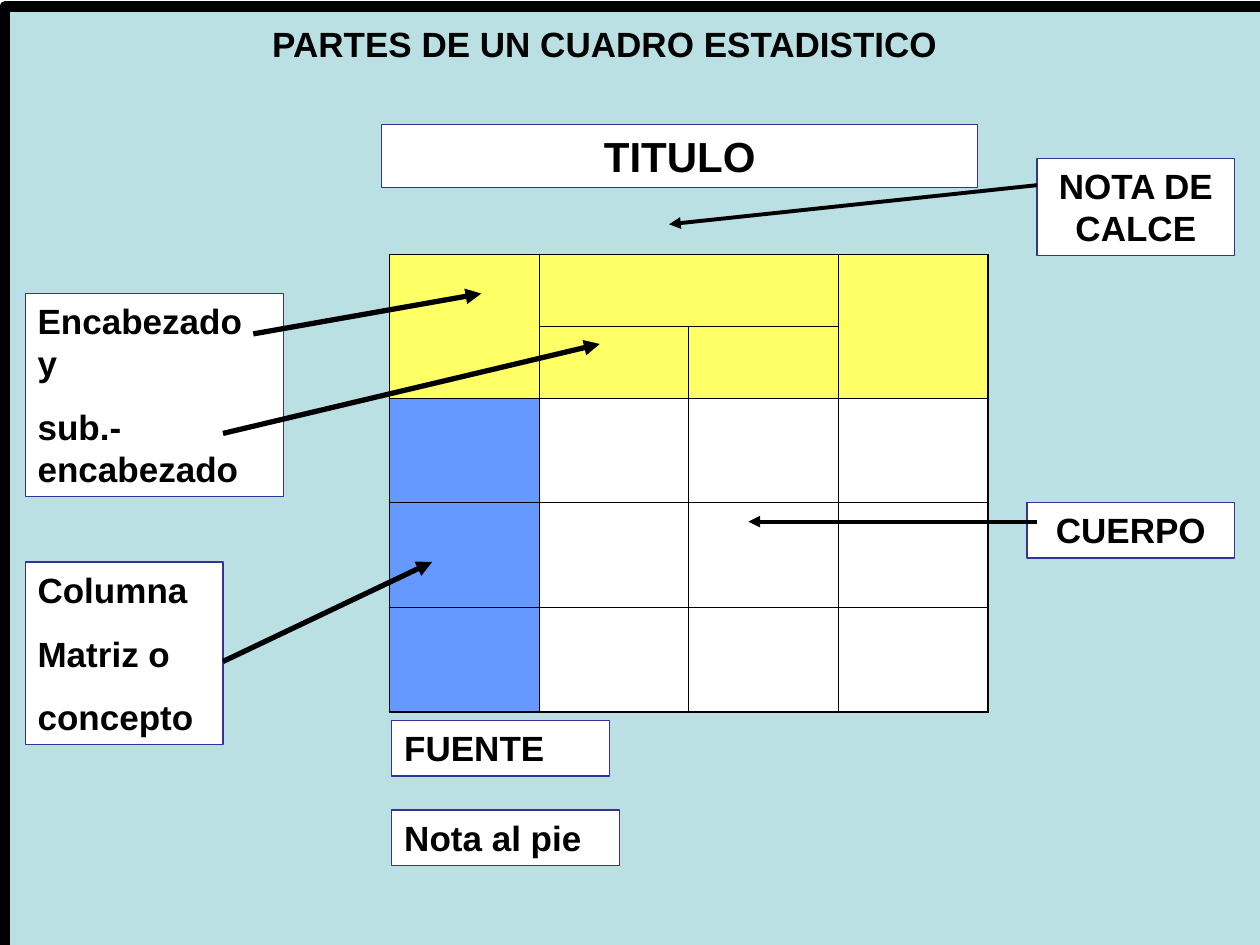
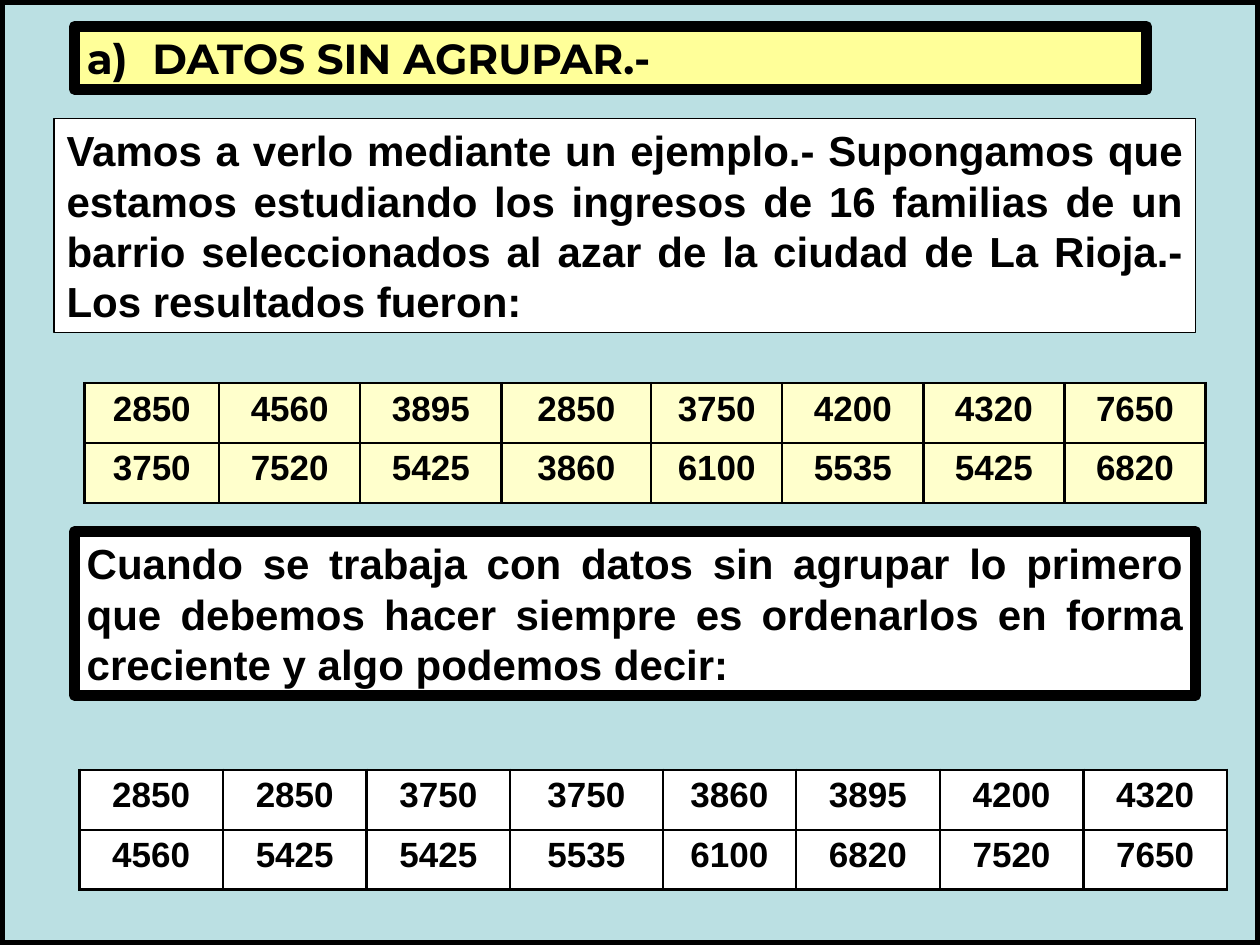
from lxml.etree import SubElement
from pptx import Presentation
from pptx.dml.color import RGBColor
from pptx.enum.shapes import MSO_CONNECTOR, MSO_SHAPE
from pptx.enum.text import MSO_ANCHOR, PP_ALIGN
from pptx.oxml.ns import qn
from pptx.util import Inches, Pt

BLACK = RGBColor(0x00, 0x00, 0x00)
WHITE = RGBColor(0xFF, 0xFF, 0xFF)
SKY = RGBColor(0xBB, 0xE0, 0xE3)
NAVY = RGBColor(0x33, 0x33, 0x99)
BLUE = RGBColor(0x66, 0x99, 0xFF)
YELLOW = RGBColor(0xFF, 0xFF, 0x66)
LEMON = RGBColor(0xFF, 0xFF, 0x99)
CREAM = RGBColor(0xFF, 0xFF, 0xCC)

PAGE = (0, 0, 10, 7.5)
LEFT, CENTER, JUST = PP_ALIGN.LEFT, PP_ALIGN.CENTER, PP_ALIGN.JUSTIFY
FONT = {"name": "Arial", "size": Pt(20), "bold": True}
FRAME = {"word_wrap": True, "vertical_anchor": MSO_ANCHOR.TOP,
         "margin_left": Inches(0.1), "margin_right": Inches(0.1),
         "margin_top": Inches(0.05), "margin_bottom": Inches(0.05)}

INCOME = [2850, 4560, 3895, 2850, 3750, 4200, 4320, 7650,
          3750, 7520, 5425, 3860, 6100, 5535, 5425, 6820]


def put(item, values):
    for name, value in values.items():
        setattr(item, name, value)


def inset(box, left, top, width, height):
    """Return a box whose corner is measured from the corner of another."""
    return box[0] + left, box[1] + top, width, height


def inches(values):
    return [Inches(value) for value in values]


def write(frame, text, align=LEFT, **font):
    put(frame, FRAME)
    for i, line in enumerate(text.split("\n")):
        para = frame.paragraphs[0] if i == 0 else frame.add_paragraph()
        para.alignment = align
        if i:
            para.space_before = Pt(12.5)
        run = para.add_run()
        run.text = line
        put(run.font, {**FONT, **font})
        run.font.color.rgb = BLACK


def panel(slide, box, fill=WHITE, edge=BLACK, width=0.75):
    shape = slide.shapes.add_shape(MSO_SHAPE.RECTANGLE, *inches(box))
    shape.shadow.inherit = False
    shape.fill.solid()
    shape.fill.fore_color.rgb = fill
    shape.line.color.rgb = edge
    shape.line.width = Pt(width)
    return shape


def arrow(slide, box, start, end, width):
    ends = [box[i] + point[i] for point in (start, end) for i in (0, 1)]
    line = slide.shapes.add_connector(MSO_CONNECTOR.STRAIGHT, *inches(ends))
    line.line.color.rgb = BLACK
    line.line.width = Pt(width)
    props = line._element.spPr
    SubElement(props.find(qn("a:ln")), qn("a:tailEnd"), type="triangle")
    SubElement(props, qn("a:effectLst"))


def border(cell, widths):
    """Rule the left, right, top and bottom sides of a cell."""
    props = cell._tc.get_or_add_tcPr()
    for side, width in zip("LRTB", widths):
        line = SubElement(props, qn(f"a:ln{side}"), w=str(Pt(width)))
        fill = SubElement(line, qn("a:solidFill"))
        SubElement(fill, qn("a:srgbClr"), val=str(BLACK))


def grid(slide, box, cols, rows, shade, inner, outer):
    """Add a ruled table; shade(row, col) gives the fill of a cell."""
    frame = slide.shapes.add_table(len(rows), len(cols), *inches(box))
    table = frame.table
    put(table, {"first_row": False, "horz_banding": False})
    for parts, sizes, name in ((table.columns, cols, "width"),
                               (table.rows, rows, "height")):
        for part, size in zip(parts, sizes):
            setattr(part, name, Inches(size))
    for r in range(len(rows)):
        for c in range(len(cols)):
            cell = table.cell(r, c)
            edges = (c == 0, c == len(cols) - 1, r == 0, r == len(rows) - 1)
            border(cell, [outer if edge else inner for edge in edges])
            cell.fill.solid()
            cell.fill.fore_color.rgb = shade(r, c)
    return table


def model(slide, box):
    """Add the empty table with its two-level heading."""
    def shade(row, col):
        return YELLOW if row < 2 else WHITE if col else BLUE

    table = grid(slide, box, [box[2] / 4] * 4, [0.57] * 2 + [0.83] * 3,
                 shade, 0.45, 1.08)
    for first, last in (((0, 0), (1, 0)), ((0, 1), (0, 2)), ((0, 3), (1, 3))):
        table.cell(*first).merge(table.cell(*last))


def series(slide, box, data, cols, fill):
    """Add a table of figures in two rows."""
    table = grid(slide, box, cols, [box[3] / 2] * 2,
                 lambda row, col: fill, 1.47, 1.47)
    for i, value in enumerate(data):
        cell = table.cell(*divmod(i, len(cols)))
        write(cell.text_frame, str(value), CENTER)


def anatomy(slide, box):
    """Show the parts of a statistical table."""
    panel(slide, inset(box, 0.04, 0.05, 10, 7.5), SKY, BLACK, 6)
    model(slide, inset(box, 3.09, 2.02, 4.75, 3.63))
    title = slide.shapes.add_textbox(*inches(inset(box, 0.27, 0.13, 9.06, 0.44)))
    write(title.text_frame, "PARTES DE UN CUADRO ESTADISTICO", CENTER)

    labels = [
        ("TITULO", (3.03, 0.99, 4.73, 0.5), CENTER, 24),
        ("NOTA DE CALCE", (8.23, 1.26, 1.57, 0.77), CENTER, 20),
        ("FUENTE", (3.11, 5.72, 1.73, 0.44), LEFT, 20),
        ("CUERPO", (8.15, 3.99, 1.65, 0.44), CENTER, 20),
        ("Encabezado y\nsub.-encabezado", (0.2, 2.33, 2.05, 1.61), LEFT, 20),
        ("Columna\nMatriz o\nconcepto", (0.2, 4.46, 1.57, 1.45), LEFT, 20),
        ("Nota al pie", (3.11, 6.43, 1.81, 0.44), LEFT, 20),
    ]
    for text, place, align, size in labels:
        label = panel(slide, inset(box, *place), WHITE, NAVY)
        write(label.text_frame, text, align, size=Pt(size))

    arrows = [
        ((8.23, 1.47), (5.31, 1.78), 2.25),
        ((8.23, 4.14), (5.94, 4.14), 2.25),
        ((2.32, 2.96), (2.32, 2.96), 0.75),
        ((2.01, 2.65), (3.82, 2.33), 3),
        ((1.77, 3.44), (4.76, 2.73), 3),
        ((1.77, 5.25), (3.43, 4.46), 3),
    ]
    for start, end, width in arrows:
        arrow(slide, box, start, end, width)


def heading(slide, box, text):
    """Add a lettered heading; a tab parts the letter from the words."""
    band = panel(slide, box, LEMON, BLACK, 6)
    props = band.text_frame.paragraphs[0]._p.get_or_add_pPr()
    tabs = SubElement(props, qn("a:tabLst"))
    SubElement(tabs, qn("a:tab"), pos=str(Inches(0.52)), algn="l")
    write(band.text_frame, text, name="Montserrat", size=Pt(24))


def sample(slide, box):
    """Show the ungrouped data, first as collected and then in order."""
    panel(slide, box, SKY, BLACK, 6)
    heading(slide, inset(box, 0.59, 0.21, 8.51, 0.5),
            "a)\tDATOS SIN AGRUPAR.-")
    notes = [
        ("Vamos a verlo mediante un ejemplo.- Supongamos que estamos "
         "estudiando los ingresos de 16 familias de un barrio seleccionados "
         "al azar de la ciudad de La Rioja.- Los resultados fueron:",
         (0.43, 0.94, 9.06, 1.7), 0.75),
        ("Cuando se trabaja con datos sin agrupar lo primero que debemos "
         "hacer siempre es ordenarlos en forma creciente y algo podemos "
         "decir:", (0.59, 4.22, 8.9, 1.3), 6),
    ]
    for text, place, width in notes:
        note = panel(slide, inset(box, *place), width=width)
        write(note.text_frame, text, JUST, size=Pt(24))
    series(slide, inset(box, 0.67, 3.04, 8.9, 0.95), INCOME,
           [1.07, 1.12, 1.12, 1.19, 1.04] + [1.12] * 3, CREAM)
    series(slide, inset(box, 0.63, 6.11, 9.09, 0.95), sorted(INCOME),
           [1.14] * 3 + [1.21, 1.06] + [1.14] * 3, WHITE)


def main():
    deck = Presentation()
    put(deck, {"slide_width": Inches(PAGE[2]), "slide_height": Inches(PAGE[3])})
    for build in (anatomy, sample):
        build(deck.slides.add_slide(deck.slide_layouts[6]), PAGE)
    deck.save("out.pptx")


if __name__ == "__main__":
    main()
